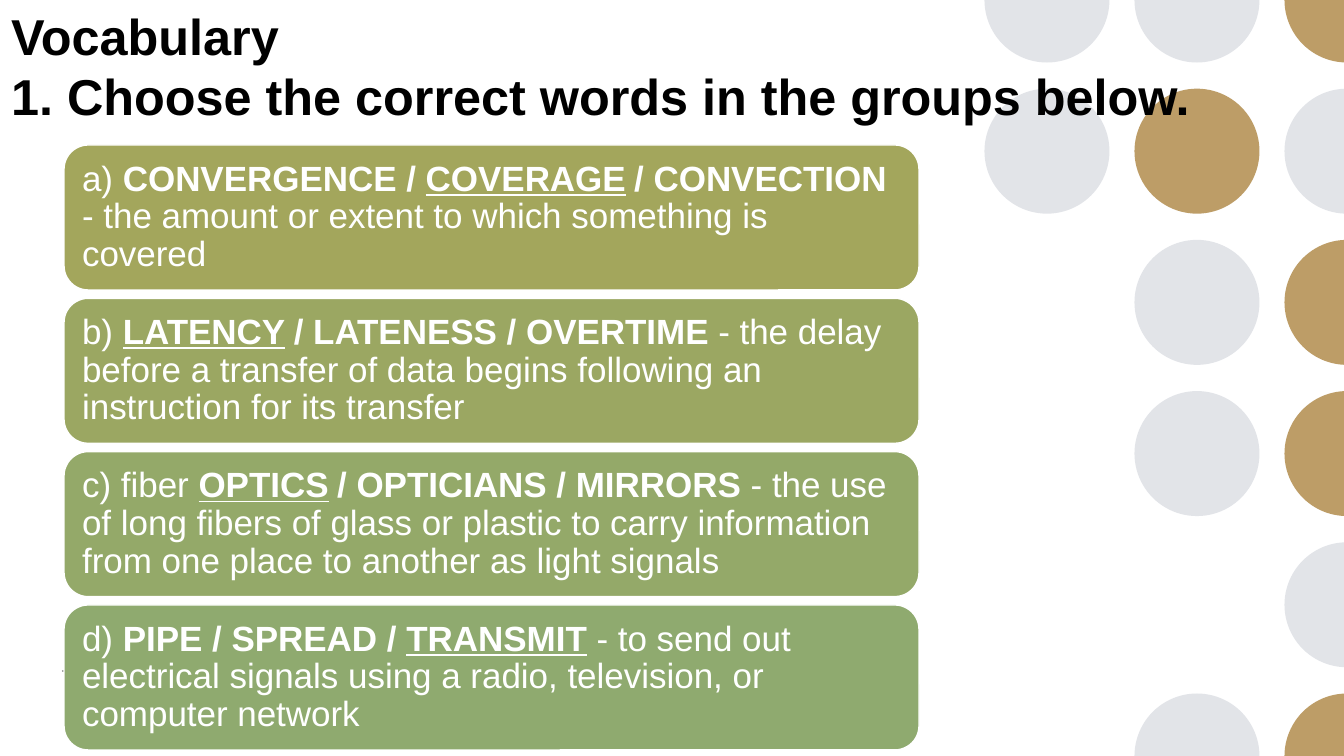
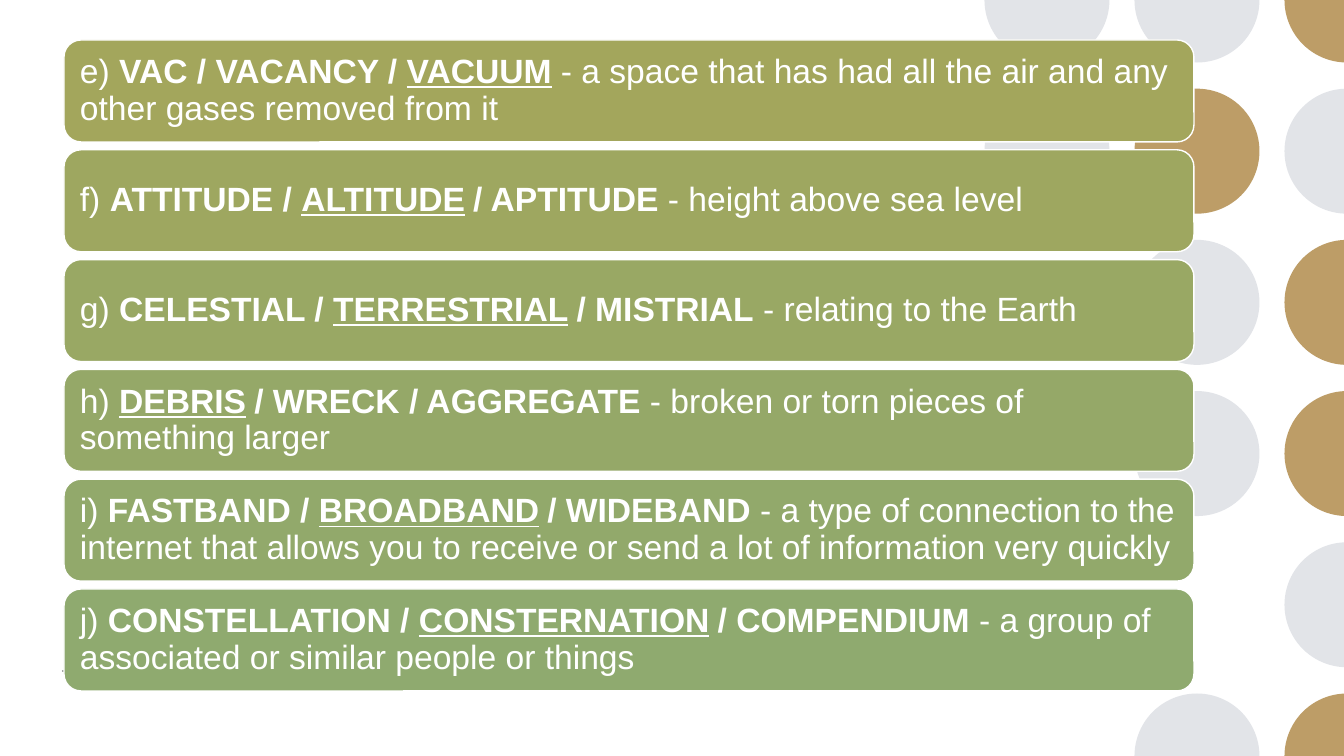
import math
from pptx import Presentation
from pptx import util as u
from pptx.dml.color import RGBColor
from pptx.enum import shapes, text
from pptx.oxml.ns import qn
from lxml import etree

THEME = {
    "colors": {"G": "E2E4E8", "B": "BD9D67", "rule": "A6A6A6",
               "title": "000000", "white": "FFFFFF"},
    "cards4": ["A3A65C", "9BA762", "94A969", "8FAA6F"],
    "cards6": ["A3A65C", "9EA760", "99A864", "95A868", "92A96B", "8FAA6F"],
    "font": "Arial", "space_font": "Lato",
    "title_pt": 36, "card4_pt": 25, "card6_pt": 24,
}
COLORS = THEME["colors"]
W, H = 1344, 756
EMU = 12192000 / W


def px(n):
    return u.Emu(round(n * EMU))


def add_run(p, words, color, **fmt):
    r = p.add_run()
    r.text = words
    for name, value in {"name": THEME["font"], **fmt}.items():
        setattr(r.font, name, value)
    r.font.color.rgb = RGBColor.from_string(color)


prs = Presentation()
prs.slide_width, prs.slide_height = px(W), px(H)
s1 = prs.slides.add_slide(prs.slide_layouts[5])
s2 = prs.slides.add_slide(prs.slide_layouts[6])

# Master: dots, cut off at the slide edges
DOTS = ["GGB", "GBG", " GB", " GB", "  G", " GB"]
RADIUS, FIRST_X, STEP_X, STEP_Y = 62.5, 1047, 150, H / 5
decor = []
for row, line in enumerate(DOTS):
    for col, key in enumerate(line):
        if key == " ":
            continue
        cx, cy = FIRST_X + col * STEP_X, row * STEP_Y
        left, right = cx - RADIUS, min(cx + RADIUS, W)
        top, bottom = max(cy - RADIUS, 0), min(cy + RADIUS, H)
        cut_side, cut_end = right == W, row in (0, len(DOTS) - 1)
        if not (cut_side or cut_end):
            sp = s1.shapes.add_shape(shapes.MSO_SHAPE.OVAL, px(left), px(top),
                                     px(right - left), px(bottom - top))
        else:
            # The box sets the size; its path becomes one arc
            box = s1.shapes.build_freeform(px(left), px(top), scale=1.0)
            box.add_line_segments([(px(right), px(top)), (px(right), px(bottom)),
                                   (px(left), px(bottom))], close=True)
            sp = box.convert_to_shape()
            start, end = (0, 180) if row == 0 else (180, 360) if cut_end else (0, 360)
            if cut_side:
                gap = math.degrees(math.asin((cx - W) / RADIUS))
                start, end = max(start, 90 - gap), min(end, 270 + gap)
                start, end = max(start, 90 + gap), min(end, 270 - gap)
            outline = next(sp.element.iter(qn("a:path")))
            for part in list(outline):
                outline.remove(part)
            angle = math.radians(start)
            stops = [("a:moveTo", cx + RADIUS * math.cos(angle), cy + RADIUS * math.sin(angle))]
            if cut_side and cut_end:
                stops.append(("a:lnTo", W, cy))
            for tag, x, y in stops:
                etree.SubElement(etree.SubElement(outline, qn(tag)), qn("a:pt"),
                                 x=str(px(x - left)), y=str(px(y - top)))
            arc = etree.Element(qn("a:arcTo"), wR=str(px(RADIUS)), hR=str(px(RADIUS)),
                                stAng=str(round(start * 60000)),
                                swAng=str(round((end - start) * 60000)))
            outline.insert(1, arc)
            etree.SubElement(outline, qn("a:close"))
        sp.shadow.inherit = False
        sp.fill.solid()
        sp.fill.fore_color.rgb = RGBColor.from_string(COLORS[key])
        sp.line.fill.background()
        decor.append(sp)

# Master: footer rule
rule = s1.shapes.add_connector(shapes.MSO_CONNECTOR.STRAIGHT, px(62), px(671), px(871), px(671))
rule.line.color.rgb = RGBColor.from_string(COLORS["rule"])
rule.line.width = u.Pt(1)
etree.SubElement(rule.element.spPr, qn("a:effectLst"))
decor.append(rule)
for sp in decor:
    prs.slide_master.shapes.element.append(sp.element)

# Title
title = s1.shapes.title
title.left, title.top, title.width, title.height = px(1), px(0), px(1343), px(140)
tf = title.text_frame
for name, value in {"word_wrap": True, "auto_size": text.MSO_AUTO_SIZE.NONE,
                    "vertical_anchor": text.MSO_ANCHOR.TOP}.items():
    setattr(tf, name, value)
p = tf.paragraphs[0]
p.alignment = text.PP_ALIGN.LEFT
title_format = {"size": u.Pt(THEME["title_pt"]), "bold": True}
add_run(p, "Vocabulary", COLORS["title"], **title_format)
p.add_line_break()
add_run(p, "1.\u00a0Choose the correct words in the groups below.", COLORS["title"], **title_format)

# Word groups: label, choices, answer, definition
GROUPS_AD = [
    ("a) ", "CONVERGENCE / COVERAGE\u00a0/ CONVECTION", "COVERAGE",
     "the amount or extent to which something is covered\u00a0"),
    ("b) ", "LATENCY / LATENESS / OVERTIME", "LATENCY",
     "the delay before a transfer of data begins following an instruction for its transfer"),
    ("c) fiber ", "OPTICS / OPTICIANS / MIRRORS", "OPTICS",
     "the use of long fibers of glass or plastic to carry information from one place "
     "to another as light signals"),
    ("d) ", "PIPE / SPREAD / TRANSMIT", "TRANSMIT",
     "to send out electrical signals using a radio, television, or computer network"),
]
GROUPS_EJ = [
    ("e) ", "VAC / VACANCY / VACUUM", "VACUUM",
     "a space that has had all the air and any other gases removed from it\u00a0"),
    ("f) ", "ATTITUDE / ALTITUDE / APTITUDE", "ALTITUDE", "height above sea level"),
    ("g) ", "CELESTIAL / TERRESTRIAL / MISTRIAL", "TERRESTRIAL", "relating to the Earth"),
    ("h) ", "DEBRIS / WRECK / AGGREGATE", "DEBRIS", "broken or torn pieces of something larger"),
    ("i) ", "FASTBAND / BROADBAND / WIDEBAND", "BROADBAND",
     "a type of connection to the internet that allows you to receive or send "
     "a lot of information very quickly"),
    ("j) ", "CONSTELLATION / CONSTERNATION / COMPENDIUM", "CONSTERNATION",
     "a group of associated or similar people or things"),
]

# Cards: slide, groups, fills, type size, first top, last top, width, height
STACKS = [
    (s1, GROUPS_AD, THEME["cards4"], THEME["card4_pt"], 145, 605, 855, 145),
    (s2, GROUPS_EJ, THEME["cards6"], THEME["card6_pt"], 40, 589, 1130, 102),
]
CARD_LEFT, INSET = 64, 10
for s, groups, fills, size, first, last, width, height in STACKS:
    step = (last - first) / (len(groups) - 1)
    for i, (label, choices, answer, definition) in enumerate(groups):
        sp = s.shapes.add_shape(shapes.MSO_SHAPE.ROUNDED_RECTANGLE, px(CARD_LEFT),
                                px(first + i * step), px(width), px(height))
        sp.shadow.inherit = False
        sp.fill.solid()
        sp.fill.fore_color.rgb = RGBColor.from_string(fills[i])
        sp.line.color.rgb = RGBColor.from_string(COLORS["white"])
        sp.line.width = u.Pt(1)
        tf = sp.text_frame
        for name, value in {"word_wrap": True, "vertical_anchor": text.MSO_ANCHOR.MIDDLE,
                            "margin_left": px(INSET + 1), "margin_right": px(INSET),
                            "margin_top": px(INSET), "margin_bottom": px(INSET)}.items():
            setattr(tf, name, value)
        p = tf.paragraphs[0]
        p.alignment, p.line_spacing = text.PP_ALIGN.LEFT, 0.9
        before, _, after = choices.partition(answer)
        runs = [(label, {}), (before, {"bold": True}),
                (answer, {"bold": True, "underline": True}),
                (after[:1], {"bold": True, "name": THEME["space_font"]}),
                (after[1:], {"bold": True}), (" - " + definition, {})]
        for words, fmt in runs:
            if words:
                add_run(p, words, COLORS["white"], size=u.Pt(size), **fmt)
        # Pair kerning
        for props in sp.element.iter(qn("a:rPr")):
            props.set("kern", "1200")

prs.save("out.pptx")
